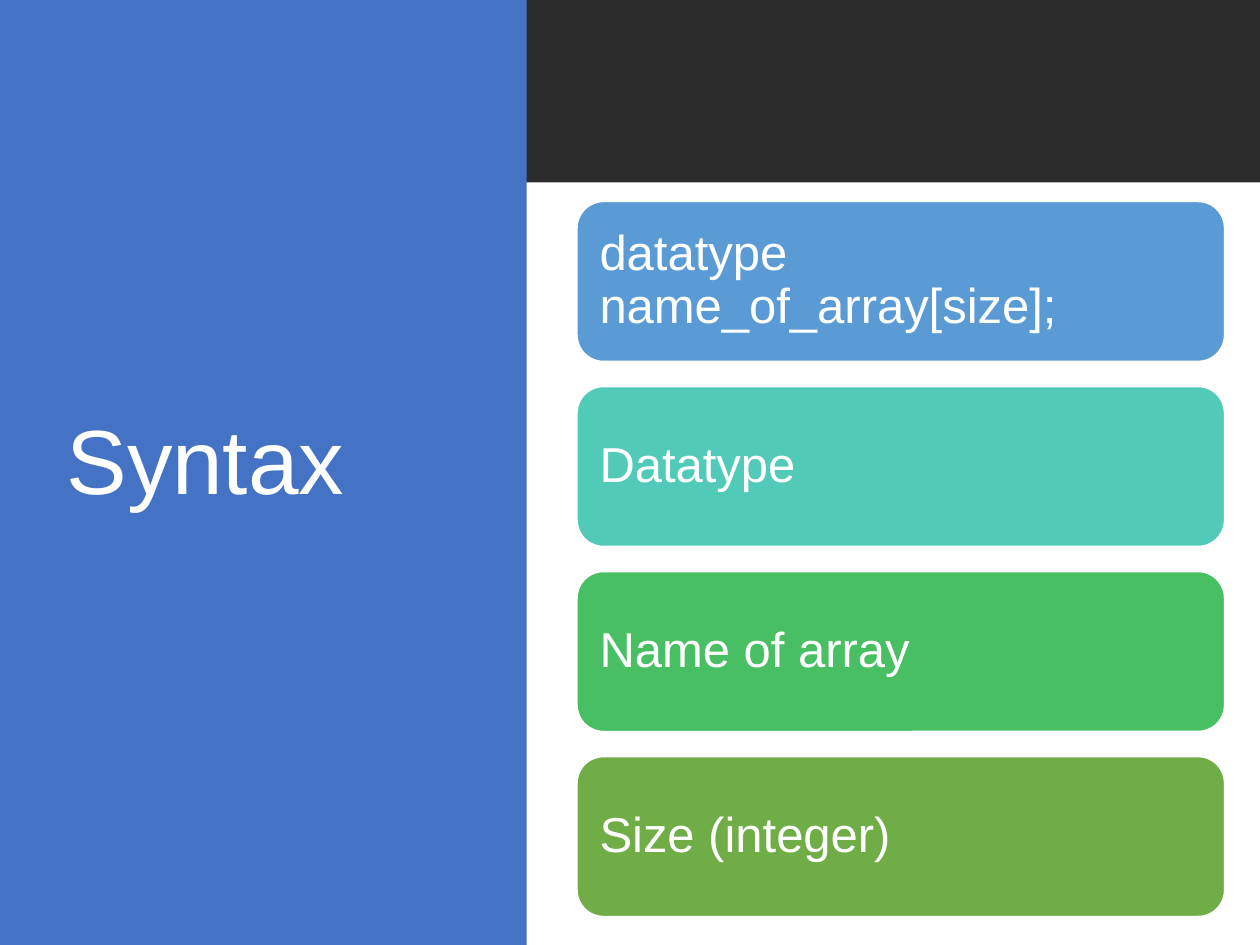
from dataclasses import dataclass

import pptx
import pptx.dml.color
import pptx.enum.shapes
import pptx.enum.text
import pptx.util

Cm = pptx.util.Cm
Pt = pptx.util.Pt
Shape = pptx.enum.shapes.MSO_SHAPE


@dataclass(frozen=True)
class Theme:
    font: str = "Arial"
    white: str = "FFFFFF"
    dark: str = "2C2C2C"
    blue: str = "4472C4"
    title: int = 52
    body: int = 28


@dataclass(frozen=True)
class Box:
    left: float
    top: float
    width: float
    height: float

    def place(self) -> tuple:
        return Cm(self.left), Cm(self.top), Cm(self.width), Cm(self.height)


@dataclass(frozen=True)
class Card:
    text: str
    fill: str


THEME = Theme()
WIDTH, HEIGHT = 25.4, 19.05
FIRST = Box(11.63, 4.06, 13.06, 3.23)
STEP = 3.73
INSET = 0.3
CARDS = (
    Card("datatype name_of_array[size];", "5B9BD5"),
    Card("Datatype", "52CAB8"),
    Card("Name of array", "49BF64"),
    Card("Size (integer)", "70AD47"),
)


def color(code: str) -> pptx.dml.color.RGBColor:
    return pptx.dml.color.RGBColor.from_string(code)


def add_block(slide, kind, box: Box, fill: str):
    """Add a filled shape without outline or shadow."""
    shape = slide.shapes.add_shape(kind, *box.place())
    shape.shadow.inherit = False
    shape.fill.solid()
    shape.fill.fore_color.rgb = color(fill)
    shape.line.fill.background()
    return shape


def write(shape, text: str, size: int) -> None:
    frame = shape.text_frame
    frame.word_wrap = True
    frame.vertical_anchor = pptx.enum.text.MSO_ANCHOR.MIDDLE
    line = frame.paragraphs[0]
    line.text = text
    line.alignment = pptx.enum.text.PP_ALIGN.LEFT
    line.line_spacing = 0.9
    line.font.name = THEME.font
    line.font.size = Pt(size)
    line.font.color.rgb = color(THEME.white)


def add_card(slide, card: Card, box: Box) -> None:
    shape = add_block(slide, Shape.ROUNDED_RECTANGLE, box, card.fill)
    shape.line.color.rgb = color(THEME.white)
    shape.line.width = Pt(1)
    frame = shape.text_frame
    frame.margin_left = frame.margin_right = Cm(INSET)
    frame.margin_top = frame.margin_bottom = Cm(INSET)
    write(shape, card.text, THEME.body)


def main() -> None:
    deck = pptx.Presentation()
    deck.slide_width, deck.slide_height = Cm(WIDTH), Cm(HEIGHT)
    slide = deck.slides.add_slide(deck.slide_layouts[6])

    add_block(slide, Shape.RECTANGLE, Box(0, 0, WIDTH, 3.68), THEME.dark)
    add_block(slide, Shape.RECTANGLE, Box(0, 0, 10.62, HEIGHT), THEME.blue)
    title = slide.shapes.add_textbox(*Box(1.09, 1.73, 7.92, 15.29).place())
    write(title, "Syntax", THEME.title)

    for row, card in enumerate(CARDS):
        top = FIRST.top + row * STEP
        add_card(slide, card, Box(FIRST.left, top, FIRST.width, FIRST.height))

    deck.save("out.pptx")


if __name__ == "__main__":
    main()
